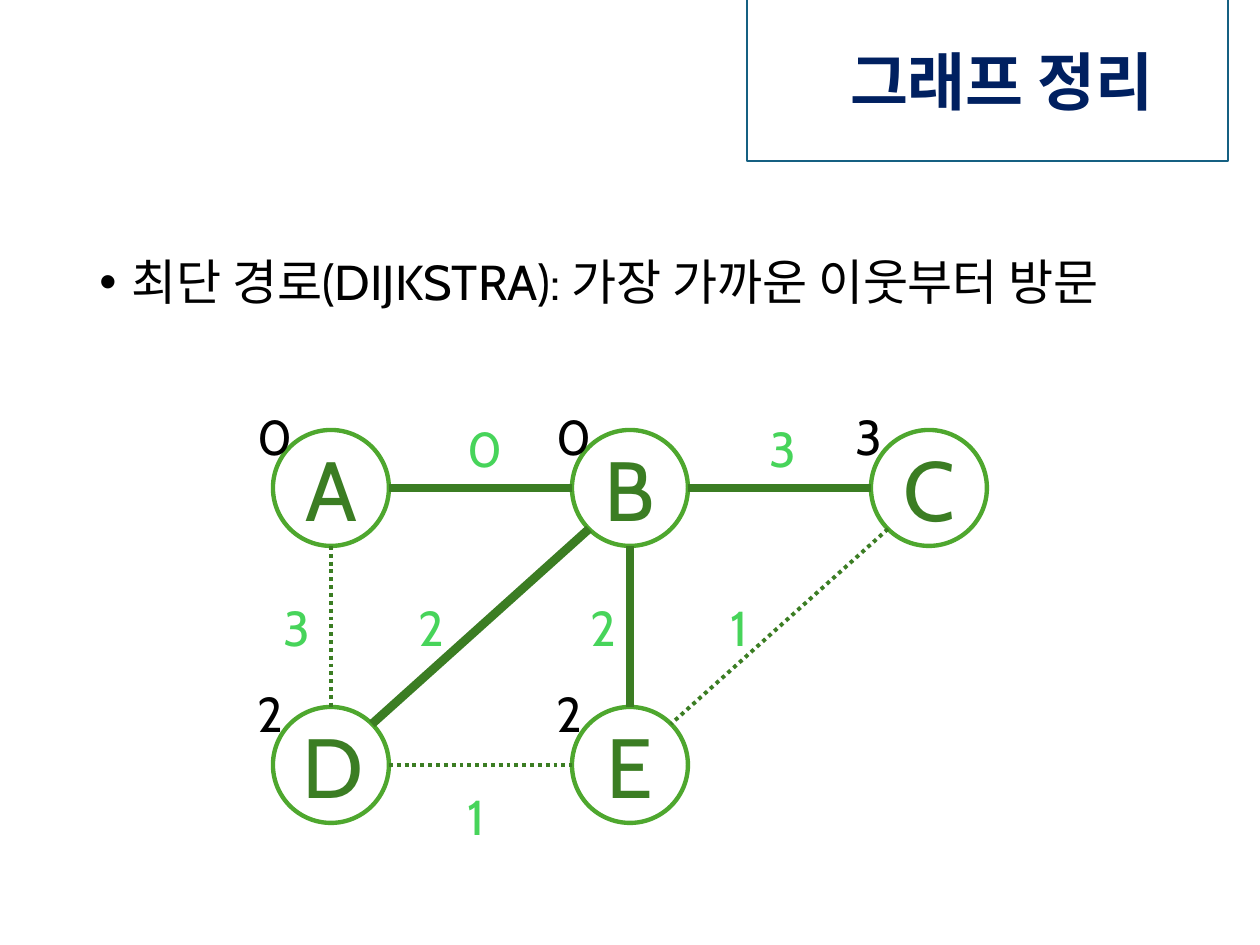
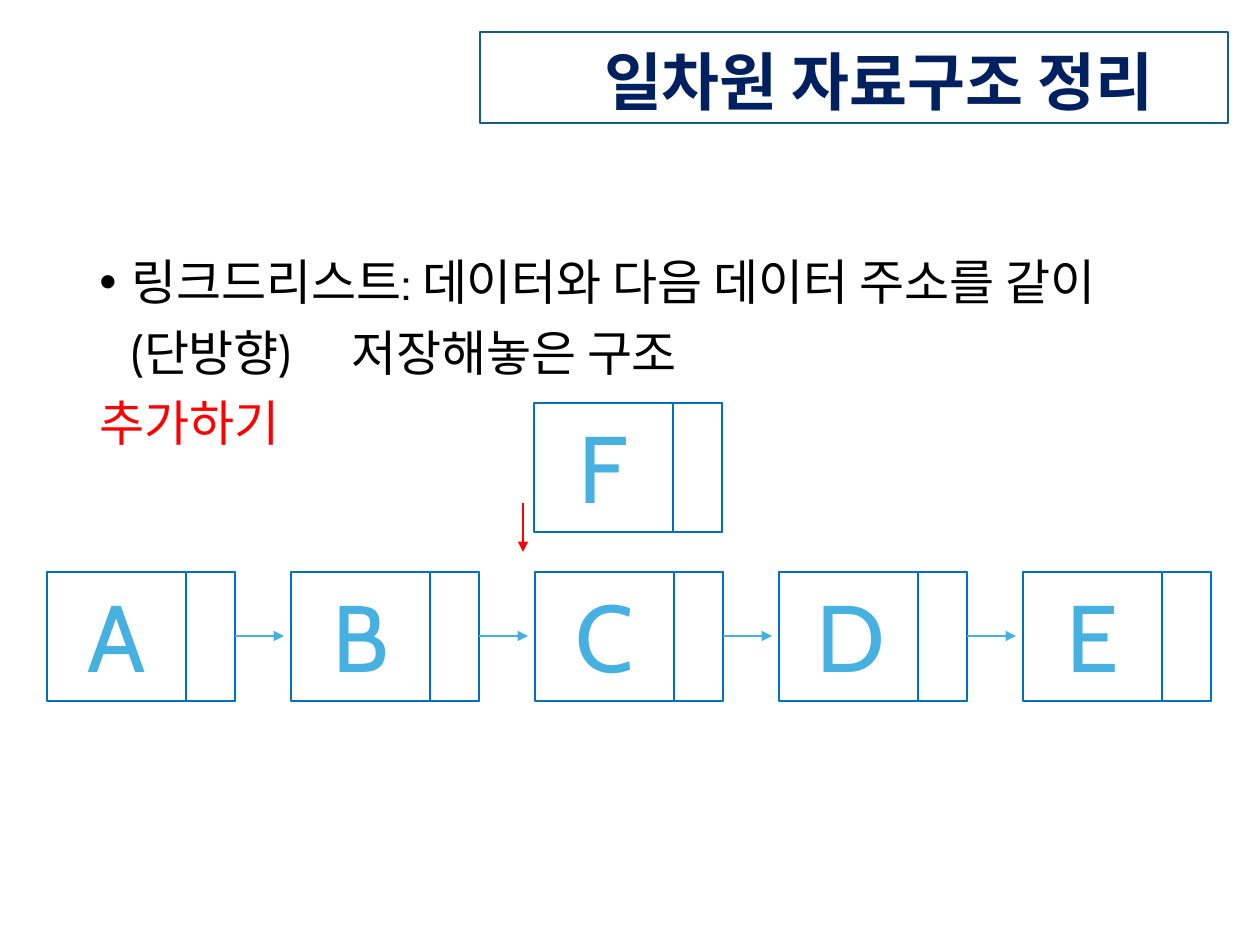
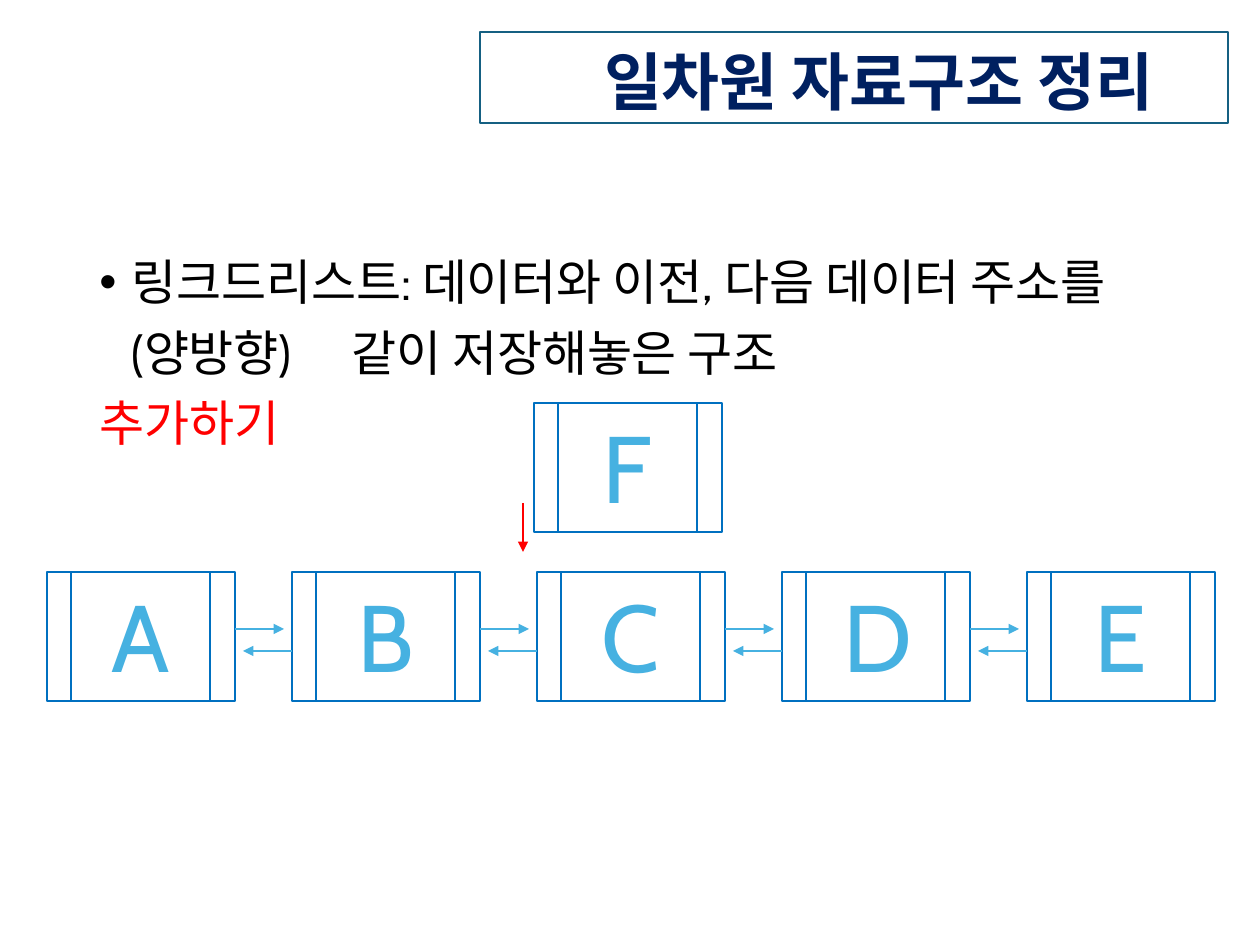
from lxml.etree import SubElement
from pptx import Presentation
from pptx.dml.color import RGBColor
from pptx.enum.dml import MSO_LINE
from pptx.enum.shapes import MSO_CONNECTOR, MSO_SHAPE
from pptx.enum.text import MSO_ANCHOR as Anchor, MSO_AUTO_SIZE as AutoSize, PP_ALIGN as Align
from pptx.oxml.ns import qn
from pptx.util import Emu, Pt

PX = 914400 / 126
FONT = "Cabin"
COLORS = {
    "navy": "002060", "frame": "156082", "text": "000000", "white": "FFFFFF", "red": "FF0000",
    "ring": "4EA72E", "edge": "3B7D23", "weight": "47D45A", "cell": "0070C0", "letter": "46B1E1",
}

GRAPH_TITLE = ("그래프 정리", (747, -5, 481, 166))
LIST_TITLE = ("일차원 자료구조 정리", (480, 32, 748, 91))
BODY_BOX = (87, 252, 1173, 600)
INDENT, TAB = 32, 374

GRAPH_BODY = [("bullet", "최단 경로(DIJKSTRA): 가장 가까운 이웃부터 방문", "text")]
NODES = {"A": (0, 0, "0"), "B": (1, 0, "0"), "C": (2, 0, "3"), "D": (0, 1, "2"), "E": (1, 1, "2")}
NODE_ORIGIN, NODE_PITCH, NODE_SIZE = (273, 430), (299, 277), 116
RADIUS, DIAGONAL = 58, 41
DISTANCE_SHIFT = (-28, -30)
DIGIT_SIZE = (52, 72)
EDGES = [("AB", True), ("BC", True), ("DE", False), ("AD", False),
         ("BE", True), ("BD", True), ("CE", False)]
WEIGHTS = [("1", 455, 780), ("3", 271, 591), ("2", 406, 591), ("2", 578, 591),
           ("1", 718, 591), ("0", 455, 412), ("3", 757, 412)]

CELL_LEFT, CELL_TOP, CELL_SIZE = 47, 572, (188, 129)
NEW_CELL = ("F", 534, 403)
INSERT_ARROW = ((523, 503), (523, 552))
ARROW_LENGTH = 49
LISTS = [
    {"body": [("bullet", "링크드리스트: 데이터와 다음 데이터 주소를 같이", "text"),
              ("tabbed", "(단방향)\t저장해놓은 구조", "text"),
              ("plain", "추가하기", "red")],
     "pitch": 244, "inner": (139, 49), "label": 25, "forward": 636, "back": None},
    {"body": [("bullet", "링크드리스트: 데이터와 이전, 다음 데이터 주소를", "text"),
              ("tabbed", "(양방향)\t같이 저장해놓은 구조", "text"),
              ("plain", "추가하기", "red")],
     "pitch": 245, "inner": (24, 139), "label": 49, "forward": 629, "back": 651},
]


def px(*lengths):
    return [Emu(round(length * PX)) for length in lengths]


def color(name):
    return RGBColor.from_string(COLORS[name])


def style(para, size, ink, bold=False):
    font = para.font
    font.size, font.name, font.bold = Pt(size), FONT, bold
    font.color.rgb = color(ink)
    SubElement(para._p.pPr.find(qn("a:defRPr")), qn("a:ea"), typeface=FONT)


def outline(shape, ink, width):
    shape.line.color.rgb = color(ink)
    shape.line.width = Pt(width)


def add_outlined(shapes, kind, bounds, ink, width):
    shape = shapes.add_shape(kind, *px(*bounds))
    shape.shadow.inherit = False
    shape.fill.solid()
    shape.fill.fore_color.rgb = color("white")
    outline(shape, ink, width)
    return shape


def add_letter(shape, letter, size, ink):
    frame = shape.text_frame
    frame.word_wrap, frame.vertical_anchor = True, Anchor.MIDDLE
    para = frame.paragraphs[0]
    para.text, para.alignment = letter, Align.CENTER
    style(para, size, ink)


def add_digit(page, digit, left, top, ink):
    frame = page.shapes.add_textbox(*px(left, top, *DIGIT_SIZE)).text_frame
    frame.word_wrap, frame.auto_size = False, AutoSize.SHAPE_TO_FIT_TEXT
    para = frame.paragraphs[0]
    para.text = digit
    style(para, 28, ink)


def add_line(page, start, end, ink, width, arrow=False):
    line = page.shapes.add_connector(MSO_CONNECTOR.STRAIGHT, *px(*start, *end))
    outline(line, ink, width)
    if arrow:
        SubElement(line.line._get_or_add_ln(), qn("a:tailEnd"), type="triangle")
    SubElement(line._element.spPr, qn("a:effectLst"))
    return line


def add_page(deck, heading, body):
    page = deck.slides.add_slide(deck.slide_layouts[5])
    text, bounds = heading
    title = page.shapes.title
    title.left, title.top, title.width, title.height = px(*bounds)
    outline(title, "frame", 0.75)
    frame = title.text_frame
    frame.auto_size, frame.word_wrap, frame.vertical_anchor = AutoSize.NONE, True, Anchor.MIDDLE
    frame.margin_left, frame.margin_top, frame.margin_right, frame.margin_bottom = px(74, 15, 74, 0)
    para = frame.paragraphs[0]
    para.text, para.alignment, para.line_spacing = text, Align.RIGHT, 0.9
    style(para, 36, "navy", bold=True)
    add_body(page, body)
    return page


def add_body(page, body):
    frame = page.shapes.add_textbox(*px(*BODY_BOX)).text_frame
    frame.word_wrap = True
    indent, tab = px(INDENT, TAB)
    for index, (kind, text, ink) in enumerate(body):
        para = frame.add_paragraph() if index else frame.paragraphs[0]
        para.text, para.line_spacing = text, 0.9
        para.space_before = Pt(10 if index else 0)
        props = para._p.get_or_add_pPr()
        if kind == "bullet":
            props.set("marL", str(indent))
            props.set("indent", str(-indent))
            SubElement(props, qn("a:buFont"), typeface="Arial")
            SubElement(props, qn("a:buChar"), char="•")
        elif kind == "tabbed":
            props.set("marL", "0")
            props.set("indent", str(indent))
            tabs = SubElement(props, qn("a:tabLst"))
            SubElement(tabs, qn("a:tab"), pos=str(tab), algn="l")
        style(para, 28, ink)


def node_corner(name):
    return [start + step * pitch for start, step, pitch in zip(NODE_ORIGIN, NODES[name], NODE_PITCH)]


def edge_ends(first, second):
    centers = [[side + RADIUS for side in node_corner(name)] for name in (first, second)]
    signs = [(b > a) - (b < a) for a, b in zip(*centers)]
    reach = DIAGONAL if all(signs) else RADIUS
    return [[value + way * sign * reach for value, sign in zip(center, signs)]
            for center, way in zip(centers, (1, -1))]


def add_graph(page):
    for name in NODES:
        bounds = (*node_corner(name), NODE_SIZE, NODE_SIZE)
        node = add_outlined(page.shapes, MSO_SHAPE.OVAL, bounds, "ring", 2.5)
        add_letter(node, name, 48, "edge")
    for pair, chosen in EDGES:
        edge = add_line(page, *edge_ends(*pair), "edge", 5 if chosen else 2.25)
        if not chosen:
            edge.line.dash_style = MSO_LINE.ROUND_DOT
    for digit, left, top in WEIGHTS:
        add_digit(page, digit, left, top, "weight")
    for name, (_, _, distance) in NODES.items():
        left, top = [side + shift for side, shift in zip(node_corner(name), DISTANCE_SHIFT)]
        add_digit(page, distance, left, top, "text")


def add_cell(page, design, letter, left, top):
    shapes = page.shapes.add_group_shape().shapes
    width, height = CELL_SIZE
    offset, inner_width = design["inner"]
    for cell_left, cell_width in ((left, width), (left + offset, inner_width)):
        bounds = (cell_left, top, cell_width, height)
        add_outlined(shapes, MSO_SHAPE.RECTANGLE, bounds, "cell", 1.5)
    label = shapes.add_textbox(*px(left + design["label"], top + 24, 89, 78))
    add_letter(label, letter, 54, "letter")


def add_linked_list(page, design):
    lefts = [CELL_LEFT + index * design["pitch"] for index in range(5)]
    for letter, left in zip("ABCDE", lefts):
        add_cell(page, design, letter, left, CELL_TOP)
    for left, following in zip(lefts, lefts[1:]):
        links = [(left + CELL_SIZE[0], design["forward"], ARROW_LENGTH)]
        if design["back"]:
            links.append((following, design["back"], -ARROW_LENGTH))
        for start, level, run in links:
            add_line(page, (start, level), (start + run, level), "letter", 1.5, arrow=True)
    add_cell(page, design, *NEW_CELL)
    add_line(page, *INSERT_ARROW, "red", 1.5, arrow=True)


def main():
    """Build the graph slide and the two linked-list slides."""
    deck = Presentation()
    deck.slide_width, deck.slide_height = px(1260, 945)
    add_graph(add_page(deck, GRAPH_TITLE, GRAPH_BODY))
    for design in LISTS:
        add_linked_list(add_page(deck, LIST_TITLE, design["body"]), design)
    deck.save("out.pptx")


if __name__ == "__main__":
    main()
